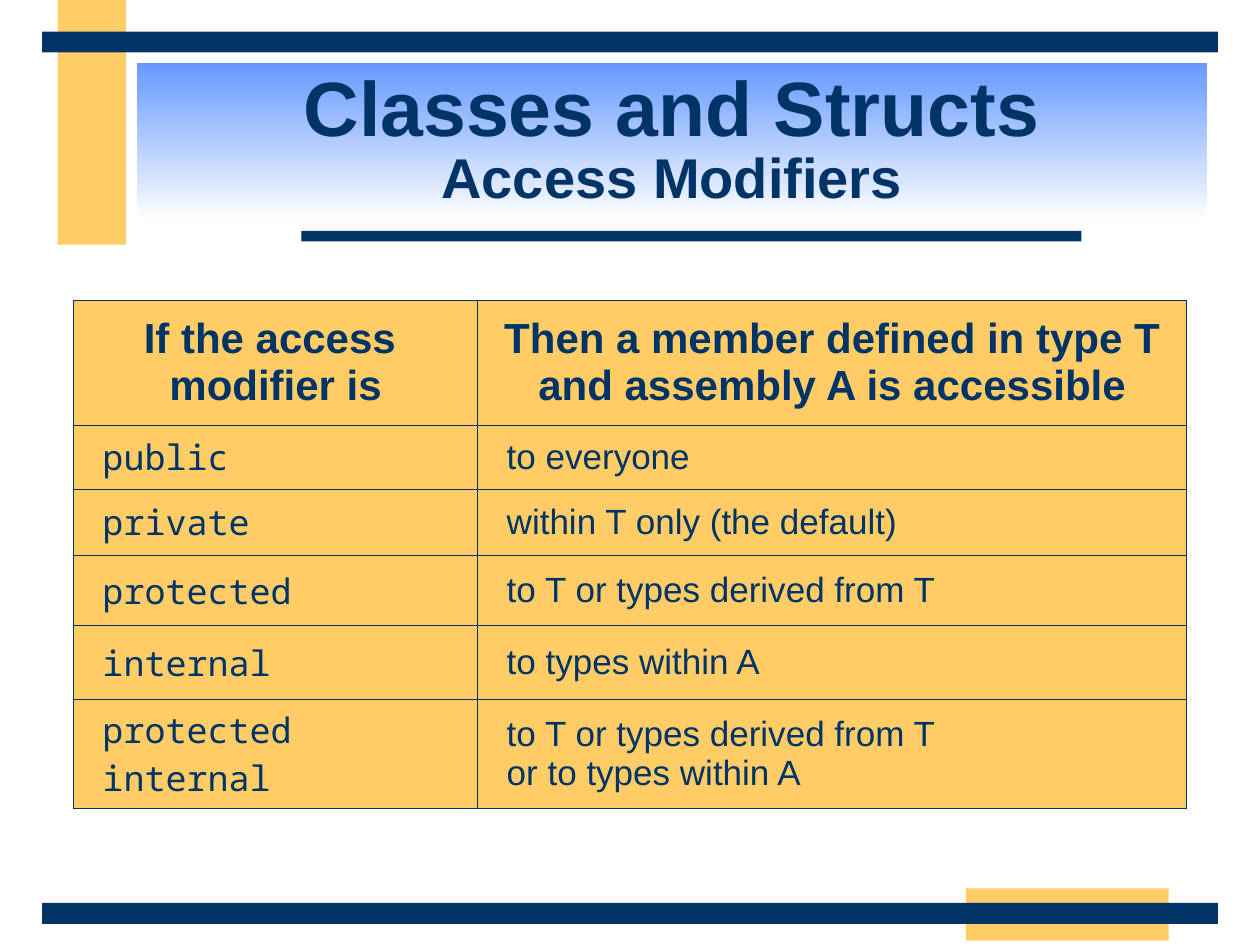
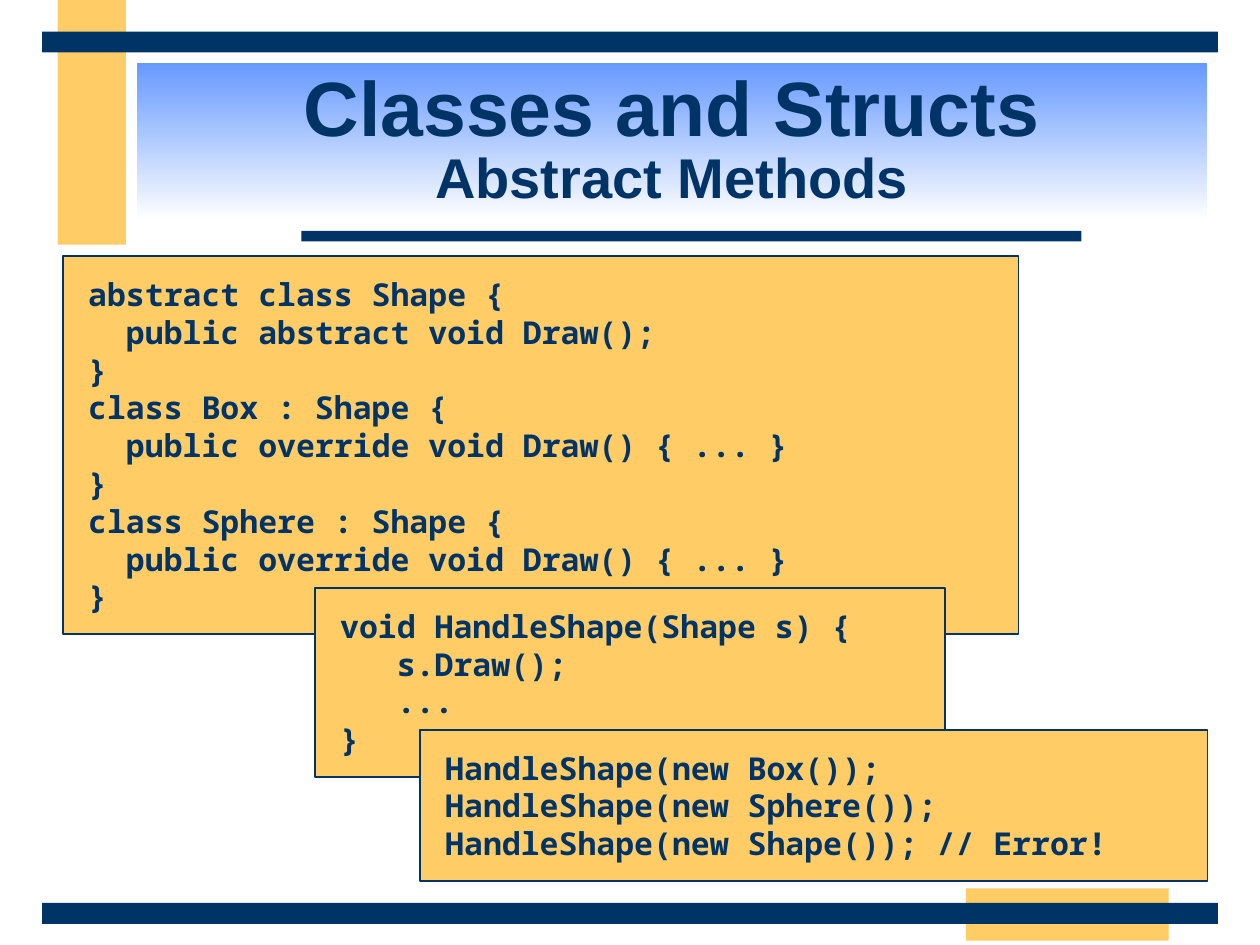
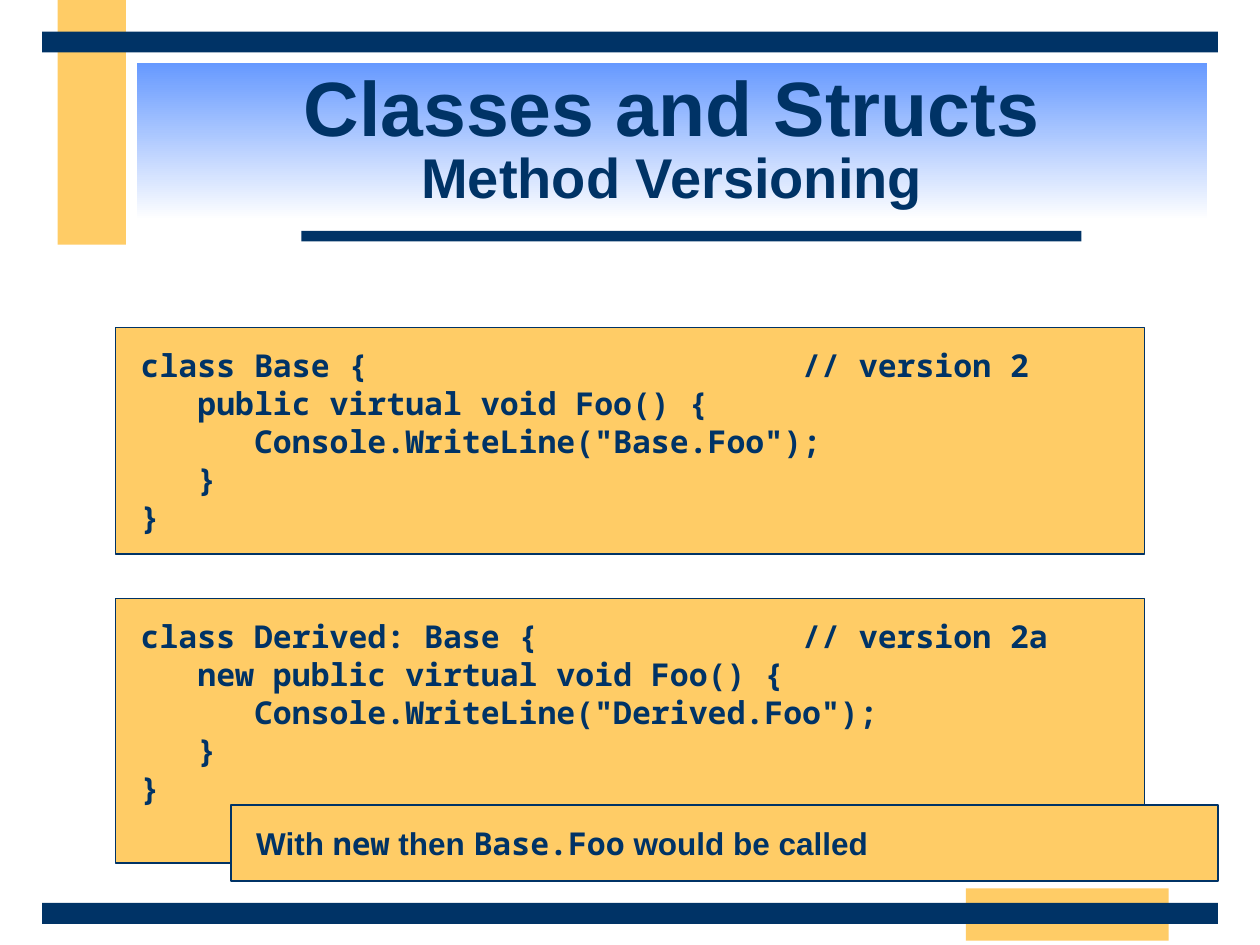
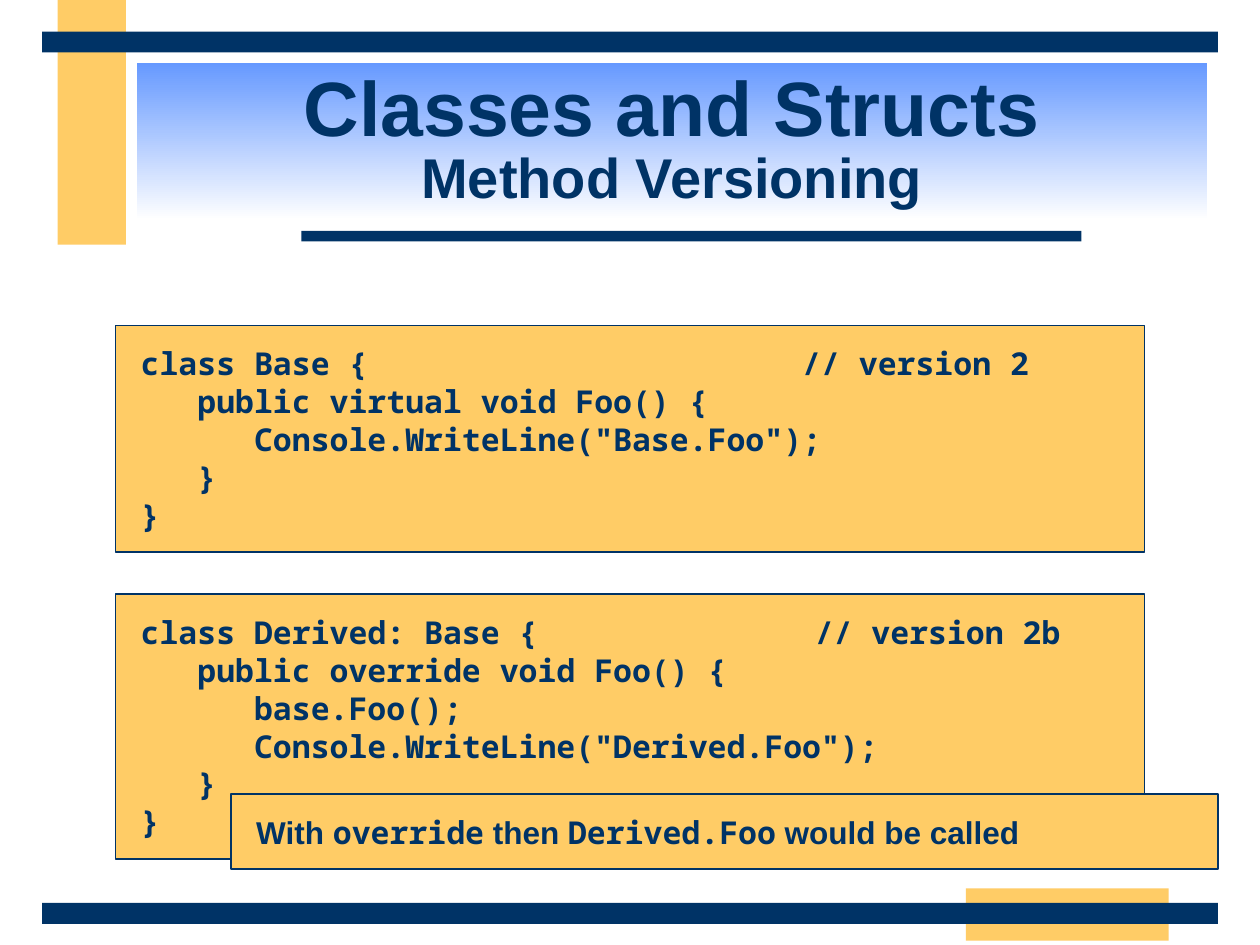
from lxml import etree
from pptx import Presentation
from pptx import util as u
from pptx.dml.color import RGBColor
from pptx.enum import shapes, text
from pptx.oxml.ns import qn

NAVY = RGBColor(0x00, 0x33, 0x66)
GOLD = RGBColor(0xFF, 0xCC, 0x66)
BLUE = RGBColor(0x66, 0x99, 0xFF)
WHITE = RGBColor(0xFF, 0xFF, 0xFF)
SANS = "Arial"
MONO = "Noto Sans Mono"
COLS, ROWS = 120, 90
LINE_ROWS = 3.6

BANDS = [
    (5.5, 0, 6.5, 23.3, GOLD),
    (92, 84.6, 19.3, 5, GOLD),
    (28.7, 22, 74.3, 1, NAVY),
    (4, 86, 112, 2, NAVY),
    (4, 3, 112, 2, NAVY),
]

MODIFIERS = [
    ("If the access \vmodifier is",
     "Then a member defined in type T and assembly A is accessible"),
    ("public", "to everyone"),
    ("private", "within T only (the default)"),
    ("protected", "to T or types derived from T"),
    ("internal", "to types within A"),
    ("protected internal", "to T or types derived from T\vor to types within A"),
]

SHAPE_CLASSES = """abstract class Shape {
  public abstract void Draw();
}
class Box : Shape {
  public override void Draw() { ... }
}
class Sphere : Shape {
  public override void Draw() { ... }
}"""

HANDLER = """void HandleShape(Shape s) {
   s.Draw();
   ...
}"""

CALLS = """HandleShape(new Box());
HandleShape(new Sphere());
HandleShape(new Shape()); // Error!"""

BASE_CLASS = """class Base {\t// version 2
   public virtual void Foo() {
      Console.WriteLine("Base.Foo");
   }
}"""

DERIVED_NEW = """class Derived: Base {\t// version 2a
   new public virtual void Foo() {
      Console.WriteLine("Derived.Foo");
   }
}"""

DERIVED_OVERRIDE = """class Derived: Base {\t// version 2b
   public override void Foo() {
      base.Foo();
      Console.WriteLine("Derived.Foo");
   }
}"""


class Deck:
    def __init__(self):
        self.prs = Presentation()
        self.prs.slide_width = u.Inches(10)
        self.prs.slide_height = u.Inches(7.5)
        self.s = None

    def x(self, cols):
        return round(self.prs.slide_width * cols / COLS)

    def y(self, rows):
        return round(self.prs.slide_height * rows / ROWS)

    def frame(self, left, top, width, height):
        return self.x(left), self.y(top), self.x(width), self.y(height)

    def style(self, r, size, font=SANS, bold=True):
        r.font.size = u.Pt(size)
        r.font.name = font
        r.font.bold = bold
        r.font.color.rgb = NAVY

    def slide(self, subtitle):
        first = self.s is None
        self.s = self.prs.slides.add_slide(self.prs.slide_layouts[5])
        if first:
            self.bands()
        self.title(subtitle)

    def bands(self):
        tree = self.prs.slide_master.element.cSld.spTree
        for i, (*place, color) in enumerate(BANDS):
            sp = self.rect(*place, color)
            tree.insert(2 + i, sp._element)

    def title(self, subtitle):
        sp = self.s.shapes.title
        sp.left, sp.top, sp.width, sp.height = self.frame(13, 6, 102, 15)
        sp.fill.gradient()
        sp.fill.gradient_angle = 270
        for stop, color in zip(sp.fill.gradient_stops, (BLUE, WHITE)):
            stop.color.rgb = color
        tf = sp.text_frame
        tf.text = "Classes and Structs\v" + subtitle
        tf.word_wrap = True
        tf.auto_size = text.MSO_AUTO_SIZE.NONE
        tf.vertical_anchor = text.MSO_ANCHOR.MIDDLE
        p = tf.paragraphs[0]
        p.alignment = text.PP_ALIGN.CENTER
        p.line_spacing = 0.85
        for r, size in zip(p.runs, (44, 32)):
            self.style(r, size)

    def rect(self, left, top, width, height, color):
        sp = self.s.shapes.add_shape(shapes.MSO_SHAPE.RECTANGLE,
                                     *self.frame(left, top, width, height))
        sp.shadow.inherit = False
        sp.fill.solid()
        sp.fill.fore_color.rgb = color
        sp.line.fill.background()
        return sp

    def box(self, left, top, width, lines):
        sp = self.rect(left, top, width, LINE_ROWS * (lines + 1), GOLD)
        sp.line.color.rgb = NAVY
        sp.line.width = u.Pt(1)
        tf = sp.text_frame
        tf.word_wrap = True
        tf.auto_size = text.MSO_AUTO_SIZE.SHAPE_TO_FIT_TEXT
        tf.vertical_anchor = text.MSO_ANCHOR.TOP
        tf.margin_left = tf.margin_right = u.Inches(0.2)
        tf.margin_top = tf.margin_bottom = u.Inches(0.15)
        return tf

    def code(self, left, top, width, source, lines=None, tab=63):
        tf = self.box(left, top, width, lines or len(source.splitlines()))
        tf.text = source
        for p in tf.paragraphs:
            p.alignment = text.PP_ALIGN.LEFT
            if "\t" in p.text:
                tabs = etree.SubElement(p._p.get_or_add_pPr(), qn("a:tabLst"))
                etree.SubElement(tabs, qn("a:tab"), pos=str(self.x(tab)), algn="l")
            for r in p.runs:
                self.style(r, 18, MONO)

    def note(self, left, top, width, keyword, method):
        p = self.box(left, top, width, 1).paragraphs[0]
        p.alignment = text.PP_ALIGN.LEFT
        for part, font in (("With ", SANS), (keyword, MONO), (" then ", SANS),
                           (method, MONO), (" would be called", SANS)):
            r = p.add_run()
            r.text = part
            self.style(r, 18, font)

    def table(self, left, top, widths, heights, rows):
        place = self.frame(left, top, sum(widths), sum(heights))
        table = self.s.shapes.add_table(len(rows), len(widths), *place).table
        table.first_row = table.horz_banding = False
        for column, width in zip(table.columns, widths):
            column.width = self.x(width)
        for row, height in zip(table.rows, heights):
            row.height = self.y(height)
        for i, row in enumerate(rows):
            for j, value in enumerate(row):
                self.cell(table.cell(i, j), value, i == 0, MONO if i and j == 0 else SANS)

    def cell(self, cell, value, header, font):
        tcPr = cell._tc.get_or_add_tcPr()
        for side in ("a:lnL", "a:lnR", "a:lnT", "a:lnB"):
            ln = etree.SubElement(tcPr, qn(side), w=str(u.Pt(0.45)))
            fill = etree.SubElement(ln, qn("a:solidFill"))
            etree.SubElement(fill, qn("a:srgbClr"), val=str(NAVY))
        cell.fill.solid()
        cell.fill.fore_color.rgb = GOLD
        cell.vertical_anchor = text.MSO_ANCHOR.MIDDLE
        cell.text_frame.text = value
        p = cell.text_frame.paragraphs[0]
        if header:
            p.alignment = text.PP_ALIGN.CENTER
        else:
            p._p.get_or_add_pPr().set("marL", str(u.Inches(0.13)))
        for r in p.runs:
            self.style(r, 24 if header else 20, font, header)


def main():
    deck = Deck()

    deck.slide("Access Modifiers")
    deck.table(7, 28.6, (38.5, 67.5), (11.9, 6.1, 6.3, 6.7, 7, 10.4), MODIFIERS)

    deck.slide("Abstract Methods")
    deck.code(6, 24.4, 91, SHAPE_CLASSES)
    deck.code(30, 56, 60, HANDLER)
    deck.code(40, 69.5, 75, CALLS)

    versions = [
        (31.2, 57, 76.7, DERIVED_NEW, 63, "new", "Base.Foo"),
        (31, 56.6, 75.6, DERIVED_OVERRIDE, 64.2, "override", "Derived.Foo"),
    ]
    for base_top, derived_top, note_top, derived, tab, keyword, method in versions:
        deck.slide("Method Versioning")
        deck.code(11, base_top, 98, BASE_CLASS)
        deck.code(11, derived_top, 98, derived, lines=6, tab=tab)
        deck.note(22, note_top, 94, keyword, method)

    deck.prs.save("out.pptx")


if __name__ == "__main__":
    main()
